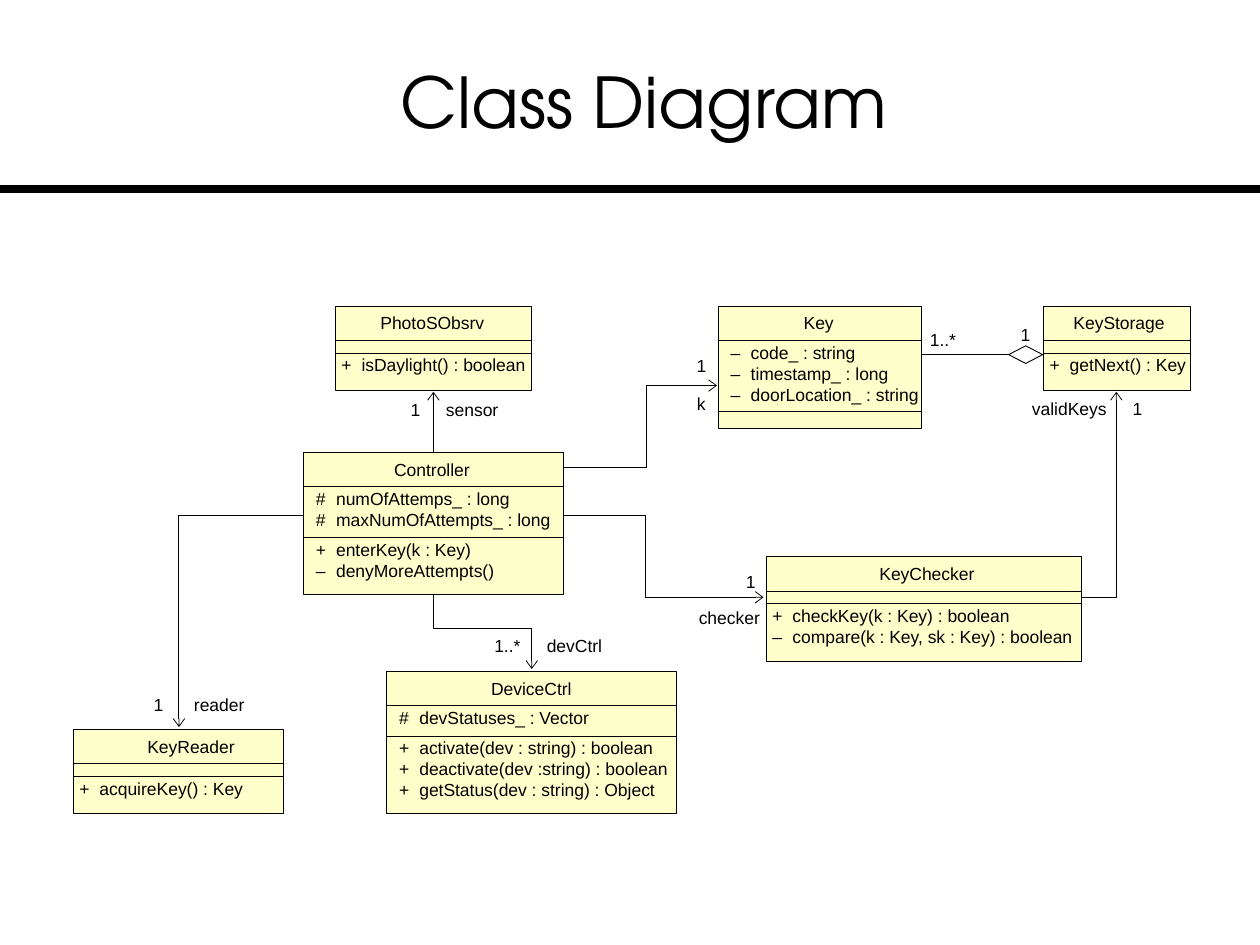
from lxml import etree
from pptx import Presentation
from pptx import util as u
from pptx.dml.color import RGBColor
from pptx.enum import shapes, text
from pptx.oxml import ns

COLORS = {"ink": "000000", "class": "FFFFCC", "paper": "FFFFFF"}
INK = RGBColor.from_string(COLORS["ink"])

deck = Presentation()
deck.slide_width, deck.slide_height = u.Inches(10), u.Inches(7.5)
page = deck.slides.add_slide(deck.slide_layouts[6])


def write(frame, content, size=10, font="Arial", align=text.PP_ALIGN.LEFT,
          before=0, left=0, hanging=0):
    """Add a paragraph, filling the empty first one if there is one."""
    para = frame.paragraphs[0]
    if para.runs:
        para = frame.add_paragraph()
    props = para._p.get_or_add_pPr()
    props.set("marL", str(u.Inches(left + hanging)))
    props.set("indent", str(-u.Inches(hanging)))
    para.alignment = align
    if before:
        para.space_before = u.Pt(before)
    span = para.add_run()
    span.text = content
    span.font.size = u.Pt(size)
    span.font.name = font
    span.font.color.rgb = INK


def draw_line(points, width=0.5, arrow=False):
    """Draw a straight connector, or an open outline through several points."""
    points = [(u.Inches(x), u.Inches(y)) for x, y in points]
    if len(points) == 2:
        line = page.shapes.add_connector(
            shapes.MSO_CONNECTOR.STRAIGHT, *points[0], *points[1])
    else:
        builder = page.shapes.build_freeform(*points[0])
        builder.add_line_segments(points[1:], close=False)
        line = builder.convert_to_shape()
        line.fill.background()
    line.line.color.rgb = INK
    line.line.width = u.Pt(width)
    props = line._element.spPr
    if arrow:
        etree.SubElement(props.find(ns.qn("a:ln")), ns.qn("a:tailEnd"),
                         type="arrow", w="med", len="sm")
    etree.SubElement(props, ns.qn("a:effectLst"))


# Title and rule
box = page.shapes.add_textbox(u.Inches(0.42), u.Inches(0.17), u.Inches(9.38), u.Inches(1.25))
frame = box.text_frame
frame.word_wrap = True
frame.vertical_anchor = text.MSO_ANCHOR.MIDDLE
frame.margin_left = frame.margin_right = 0
write(frame, "Class Diagram", size=40, font="TeX Gyre Adventor", align=text.PP_ALIGN.CENTER)
draw_line([(0, 1.5), (10, 1.5)], width=4.5)

# Associations, each ending at its arrow tip
associations = [
    [(4.47, 3.71), (5.13, 3.71), (5.13, 3.06), (5.69, 3.06)],
    [(2.41, 4.09), (1.42, 4.09), (1.42, 5.77)],
    [(3.44, 4.71), (3.44, 4.99), (4.22, 4.99), (4.22, 5.31)],
    [(8.58, 4.74), (8.86, 4.74), (8.86, 3.11)],
    [(4.47, 4.09), (5.12, 4.09), (5.12, 4.74), (6.06, 4.74)],
    [(3.44, 3.59), (3.44, 3.11)],
]
for route in associations:
    draw_line(route, arrow=True)

# Aggregation of keys in the storage
draw_line([(7.31, 2.81), (8.01, 2.81)])
diamond = page.shapes.add_shape(
    shapes.MSO_SHAPE.DIAMOND, u.Inches(8.07), u.Inches(2.68), u.Inches(0.14), u.Inches(0.27))
diamond.rotation = 90
diamond.shadow.inherit = False
diamond.fill.solid()
diamond.fill.fore_color.rgb = RGBColor.from_string(COLORS["paper"])
diamond.line.color.rgb = INK
diamond.line.width = u.Pt(0.5)

# Classes: name, name indent, left, top, width, height, inset, attributes, operations
classes = [
    ("KeyChecker", 0.85, 6.08, 4.42, 2.5, 0.83, 0.05, [],
     ["+\tcheckKey(k : Key) : boolean", "–\tcompare(k : Key, sk : Key) : boolean"]),
    ("Key", 0.58, 5.7, 2.43, 1.61, 0.97, 0.1,
     ["–\tcode_ : string", "–\ttimestamp_ : long", "–\tdoorLocation_ : string"], []),
    ("KeyStorage", 0.19, 8.28, 2.43, 1.17, 0.67, 0.05, [], ["+\tgetNext() : Key"]),
    ("KeyReader", 0.54, 0.58, 5.79, 1.67, 0.67, 0.05, [], ["+\tacquireKey() : Key"]),
    ("Controller", 0.62, 2.41, 3.59, 2.06, 1.13, 0.1,
     ["#\tnumOfAttemps_ : long", "#\tmaxNumOfAttempts_ : long"],
     ["+\tenterKey(k : Key)", "–\tdenyMoreAttempts()"]),
    ("DeviceCtrl", 0.73, 3.07, 5.33, 2.3, 1.13, 0.1,
     ["#\tdevStatuses_ : Vector"],
     ["+\tactivate(dev : string) : boolean", "+\tdeactivate(dev :string) : boolean",
      "+\tgetStatus(dev : string) : Object"]),
    ("PhotoSObsrv", 0.31, 2.66, 2.43, 1.56, 0.67, 0.05, [], ["+\tisDaylight() : boolean"]),
]
for name, indent, left, top, width, height, inset, attributes, operations in classes:
    box = page.shapes.add_shape(
        shapes.MSO_SHAPE.RECTANGLE,
        u.Inches(left), u.Inches(top), u.Inches(width), u.Inches(height))
    box.shadow.inherit = False
    box.fill.solid()
    box.fill.fore_color.rgb = RGBColor.from_string(COLORS["class"])
    box.line.color.rgb = INK
    box.line.width = u.Pt(0.5)
    frame = box.text_frame
    frame.word_wrap = True
    frame.vertical_anchor = text.MSO_ANCHOR.TOP
    frame.margin_left, frame.margin_top = u.Inches(inset), u.Inches(0.05)
    frame.margin_right = frame.margin_bottom = 0
    write(frame, name, left=indent)
    gap = 5 if attributes else 12
    for members in (attributes, operations):
        for index, member in enumerate(members):
            write(frame, member, before=0 if index else gap, hanging=0.16)
    # The second divider leaves room for the attributes
    name_end = top + 0.27
    attributes_end = name_end + max(0.1, 0.08 + 0.16 * len(attributes))
    for y in (name_end, attributes_end):
        draw_line([(left, y), (left + width, y)], width=0.25)

# Role names and multiplicities: text, left, top, width, alignment
LEFT, RIGHT = text.PP_ALIGN.LEFT, text.PP_ALIGN.RIGHT
labels = [
    ("1", 1.21, 5.51, 0.1, LEFT), ("reader", 1.53, 5.51, 0.44, LEFT),
    ("1", 3.25, 3.17, 0.1, LEFT), ("sensor", 3.53, 3.17, 0.46, LEFT),
    ("1..*", 7.37, 2.61, 0.25, LEFT), ("1", 8.09, 2.57, 0.1, LEFT),
    ("validKeys", 8.18, 3.16, 0.65, LEFT), ("1", 8.98, 3.16, 0.1, LEFT),
    ("1..*", 3.89, 5.04, 0.25, RIGHT), ("devCtrl", 4.33, 5.04, 0.48, LEFT),
    ("1", 5.91, 4.53, 0.1, LEFT), ("checker", 5.5, 4.82, 0.54, RIGHT),
    ("1", 5.52, 2.82, 0.1, LEFT), ("k", 5.51, 3.12, 0.1, RIGHT),
]
for label, left, top, width, align in labels:
    box = page.shapes.add_textbox(
        u.Inches(left), u.Inches(top), u.Inches(width), u.Inches(0.17))
    frame = box.text_frame
    frame.word_wrap = False
    frame.margin_left = frame.margin_right = u.Inches(0.01)
    frame.margin_top = frame.margin_bottom = 0
    write(frame, label, align=align)

deck.save("out.pptx")
